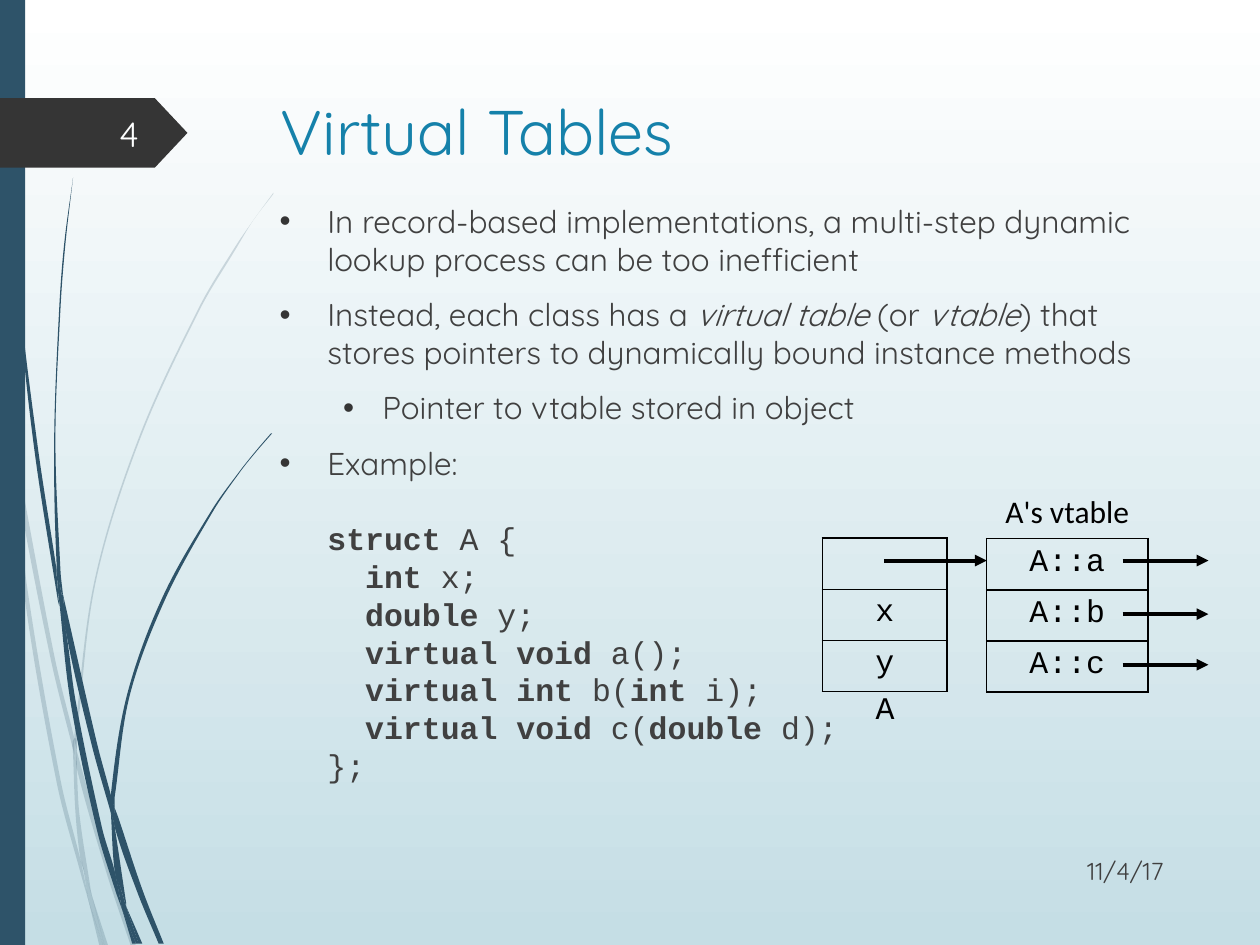
"""Build the Virtual Tables slide with its code, object layout and vtable."""
import pptx
import pptx.util
import pptx.dml.color
import pptx.enum.shapes
import pptx.enum.text
import pptx.oxml.ns
from dataclasses import dataclass
from lxml import etree

Cm, Pt, qn = pptx.util.Cm, pptx.util.Pt, pptx.oxml.ns.qn
Align, Shape = pptx.enum.text.PP_ALIGN, pptx.enum.shapes.MSO_SHAPE


@dataclass(frozen=True)
class Theme:
    sans: str = "Quicksand"
    mono: str = "Courier New"
    plain: str = "Calibri"
    head: str = "1581AA"
    text: str = "404040"
    navy: str = "2E5369"
    dark: str = "353535"
    black: str = "000000"
    white: str = "FEFFFF"
    sky: tuple = ("FFFFFF", "C5DEE5")
    big: float = 36
    mid: float = 20
    base: float = 18
    small: float = 14
    pitch: float = 21.6


T = Theme()
GRID = 0.0254
POINTS = [
    (0.97, -0.96, "In record-based implementations, a multi-step dynamic "
                  "lookup process can be too inefficient"),
    (0.97, -0.96, "Instead, each class has a |virtual table| (or |vtable|) that "
                  "stores pointers to dynamically bound instance methods"),
    (2.08, -0.79, "Pointer to vtable stored in object"),
    (0.97, -0.96, "Example:"),
]
CODE = """|struct |A {
  |int| x;
  |double| y;
  |virtual void| a();
  |virtual int| b(|int |i);
  |virtual void| c(|double| d);
};"""
PALE = """8 350 6 322 0 282 | 0 299 7 344 8 350
10 345 12 376 40 522 59 599 | 59 586 43 520 10 345
61 596 61 610 85 694 104 751 | 108 751 88 692 64 607 61 596
73 711 83 751 | 86 751 73 711
8 350 19 470 45 621 64 693 70 714 | 69 707 64 683 48 619 22 469 12 376 8 350
58 599 60 646 64 683 67 692 73 711 | 72 706 63 646 61 610 61 608 58 599
217 153 201 175 186 197 158 244 110 348 75 461 59 584 59 586 61 596 \
| 61 584 76 462 111 349 159 245 187 198 201 175 217 154
70 714 79 751 | 82 751 70 714
58 599 61 608 61 610 | 61 596 59 586 58 599
65 683 69 707 70 714 82 751 | 83 751 73 711 67 692 65 683"""
DEEP = """2 0 3 48 5 110 14 233 27 355 46 477 47 481 | 45 457 45 453 30 355 15 232 6 109 4 48 3 0
50 472 53 505 73 592 88 645 | 88 633 88 631 77 590 50 472
91 641 91 656 109 708 126 749 | 130 749 113 706 94 649 91 641
47 477 56 557 77 659 92 708 97 722 | 96 717 91 691 81 657 60 556 53 505 47 477
58 141 51 193 47 245 43 349 45 449 49 472 | 50 472 48 453 44 349 48 245 52 193 58 141
100 719 110 749 | 113 749 100 719
45 449 45 453 47 477 53 505 | 50 472 49 472 45 449
215 344 203 358 191 373 168 405 129 474 101 551 88 631 91 641 \
| 91 633 103 552 131 476 169 406 191 374 203 359 216 344
97 722 105 749 | 108 749 97 722
88 645 91 691 96 706 100 719 | 100 716 91 656 90 651 88 645
88 631 88 645 90 651 91 656 | 91 641 88 631
91 691 96 717 97 722 108 749 | 110 749 100 719 96 706 91 691"""


def rgb(hue):
    return pptx.dml.color.RGBColor.from_string(hue)


def style(run, size, hue, face):
    font = run.font
    font.size, font.name, font.color.rgb = Pt(size), face, rgb(hue)


def paint(shape, hue, alpha=None):
    shape.shadow.inherit = False
    shape.fill.solid()
    shape.fill.fore_color.rgb = rgb(hue)
    shape.line.fill.background()
    if alpha:
        tint = shape._element.spPr.find(".//" + qn("a:srgbClr"))
        etree.SubElement(tint, qn("a:alpha")).set("val", str(alpha * 1000))


def bend(knots):
    ends = [knots[0], *knots, knots[-1]]
    for a, b, c, d in zip(ends, ends[1:], ends[2:], ends[3:]):
        third = abs(c - b) / 3
        yield from (b + (c - a) / abs(c - a) * third, c - (d - b) / abs(d - b) * third, c)


def strand(group, row, alpha):
    dots = []
    for edge in row.split("|"):
        nums = [int(word) for word in edge.split()]
        knots = [complex(x, y) for x, y in zip(nums[::2], nums[1::2])]
        dots += [dots[-1], knots[0], knots[0]] if dots else [knots[0]]
        dots += bend(knots)
    first, *rest = [(Cm(dot.real * GRID), Cm(dot.imag * GRID)) for dot in dots]
    form = group.shapes.build_freeform(*first)
    form.add_line_segments(rest, close=True)
    shape = form.convert_to_shape()
    legs = list(shape._element.iter(qn("a:lnTo")))
    for trio in zip(legs[::3], legs[1::3], legs[2::3]):
        curve = etree.Element(qn("a:cubicBezTo"))
        trio[0].addprevious(curve)
        for leg in trio:
            curve.append(leg[0])
            leg.getparent().remove(leg)
    paint(shape, T.navy, alpha)


def block(slide, kind, box, hue):
    shape = slide.shapes.add_shape(kind, *map(Cm, box))
    paint(shape, hue)
    return shape


def label(slide, box, text, size, hue, face, align=Align.LEFT, wrap=True):
    frame = slide.shapes.add_textbox(*map(Cm, box)).text_frame
    frame.word_wrap = wrap
    frame.vertical_anchor = pptx.enum.text.MSO_ANCHOR.MIDDLE
    frame.text = text
    frame.paragraphs[0].alignment = align
    style(frame.paragraphs[0].runs[0], size, hue, face)


def bullet(par):
    props = par._p.get_or_add_pPr()
    tint = etree.SubElement(props, qn("a:buClr"))
    etree.SubElement(tint, qn("a:srgbClr")).set("val", T.dark)
    etree.SubElement(props, qn("a:buFont")).set("typeface", "Arial")
    etree.SubElement(props, qn("a:buChar")).set("char", "•")


def write(par, text, face, trait, left, hang, gap):
    props = par._p.get_or_add_pPr()
    props.set("marL", str(Cm(left)))
    props.set("indent", str(Cm(hang)))
    par.line_spacing, par.space_before = Pt(T.pitch), Pt(gap)
    for row, line in enumerate(text.split("\n")):
        if row:
            par.add_line_break()
        for spot, piece in enumerate(line.split("|")):
            if piece:
                run = par.add_run()
                run.text = piece
                style(run, T.base, T.text, face)
                setattr(run.font, trait, spot % 2 == 1)


def body(slide):
    frame = slide.shapes.add_textbox(Cm(5.38), Cm(3.95), Cm(18.31), Cm(13.08)).text_frame
    frame.word_wrap = True
    for spot, (left, hang, text) in enumerate(POINTS):
        par = frame.add_paragraph() if spot else frame.paragraphs[0]
        bullet(par)
        write(par, text, T.sans, "italic", left, hang, 10 if spot else 0)
    write(frame.add_paragraph(), CODE, T.mono, "bold", 0.97, 0, T.pitch)


def border(cell, sides):
    props = cell._tc.get_or_add_tcPr()
    for spot, side in enumerate("LRTB"):
        line = etree.Element(qn("a:ln" + side), w=str(Pt(1)))
        ink = etree.SubElement(line, qn("a:solidFill" if side in sides else "a:noFill"))
        if side in sides:
            etree.SubElement(ink, qn("a:srgbClr")).set("val", T.black)
        props.insert(spot, line)


def grid(slide, left, top, width, rows, title=False):
    box = map(Cm, (left, top, width, 1.03 * len(rows)))
    table = slide.shapes.add_table(len(rows), 1, *box).table
    table.first_row = table.horz_banding = False
    for spot, text in enumerate(rows):
        head = title and spot == 0
        cell = table.cell(spot, 0)
        cell.fill.background()
        border(cell, "B" if head else "LRTB")
        cell.text = text
        par = cell.text_frame.paragraphs[0]
        par.alignment = Align.CENTER
        for run in par.runs:
            style(run, T.base, T.black, T.plain if head else T.mono)


def arrow(slide, start, end, y):
    kind = pptx.enum.shapes.MSO_CONNECTOR.STRAIGHT
    line = slide.shapes.add_connector(kind, Cm(start), Cm(y), Cm(end), Cm(y))
    line.line.color.rgb, line.line.width = rgb(T.black), Pt(2.25)
    etree.SubElement(line.line._get_or_add_ln(), qn("a:tailEnd")).set("type", "triangle")
    etree.SubElement(line._element.spPr, qn("a:effectLst"))


def back(slide):
    wash = slide.background.fill
    wash.gradient()
    wash.gradient_angle = 270
    for spot, (stop, hue) in enumerate(zip(wash.gradient_stops, T.sky)):
        stop.color.rgb, stop.position = rgb(hue), spot
    for rows, alpha in ((PALE, 20), (DEEP, None)):
        group = slide.shapes.add_group_shape()
        for row in rows.split("\n"):
            strand(group, row, alpha)
    block(slide, Shape.RECTANGLE, (0, 0, 0.51, 19.05), T.navy)
    block(slide, Shape.PENTAGON, (0, 1.98, 3.78, 1.4), T.dark).adjustments[0] = 0.47


def main():
    deck = pptx.Presentation()
    deck.slide_width, deck.slide_height = Cm(25.4), Cm(19.05)
    slide = deck.slides.add_slide(deck.slide_layouts[6])
    back(slide)
    label(slide, (5.41, 1.67, 18.31, 1.9), "Virtual Tables", T.big, T.head, T.sans)
    body(slide)
    label(slide, (20.33, 17.04, 3.38, 1.02), "11/4/17", T.small, T.text, T.sans, Align.RIGHT)
    label(slide, (1.42, 2.18, 1.63, 1.02), "4", T.mid, T.white, T.sans, Align.RIGHT)
    grid(slide, 16.58, 10.85, 2.51, ["", "x", "y"])
    grid(slide, 19.89, 9.83, 3.25, ["A's vtable", "A::a", "A::b", "A::c"], True)
    arrow(slide, 17.83, 19.89, 11.3)
    for y in (11.3, 12.38, 13.4):
        arrow(slide, 22.63, 24.36, y)
    label(slide, (17.4, 13.74, 0.86, 1.02), "A", T.base, T.black, T.mono, wrap=False)
    deck.save("out.pptx")


if __name__ == "__main__":
    main()
